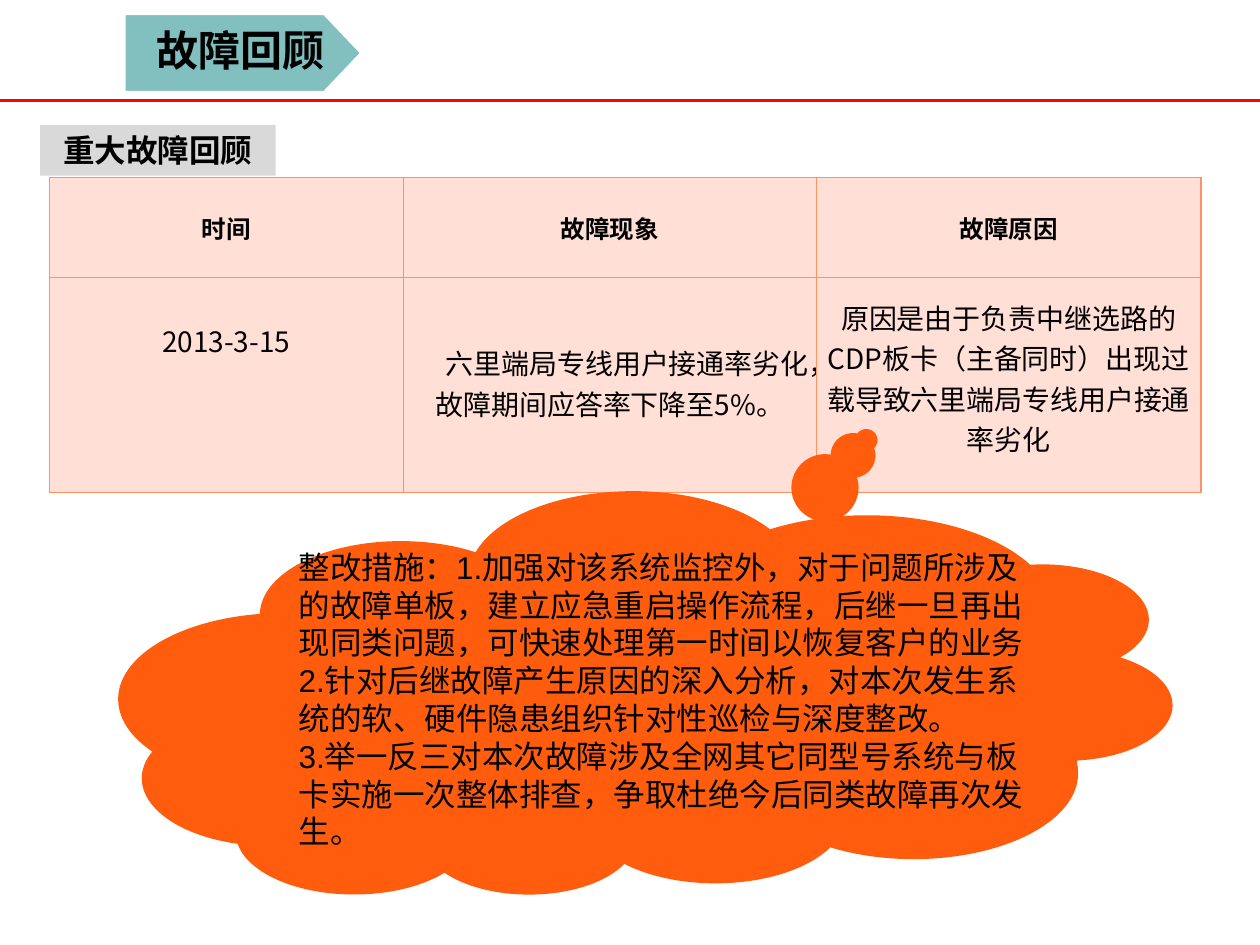
from lxml.etree import SubElement
from pptx import Presentation
from pptx.dml.color import RGBColor
from pptx.enum.shapes import MSO_CONNECTOR as Connector, MSO_SHAPE as Preset
from pptx.enum.text import MSO_ANCHOR as Anchor, PP_ALIGN as Align
from pptx.oxml.ns import qn
from pptx.util import Cm, Pt

CJK = "Noto Sans CJK SC"
HEADERS = ["时间", "故障现象", "故障原因"]
FAULT = [
    ("2013-3-15", 2.67, 0),
    ("六里端局专线用户接通率劣化，故障期间应答率下降至5%。", 1.4, 0.7),
    ("原因是由于负责中继选路的CDP板卡（主备同时）出现过载导致六里端局专线用户接通率劣化", 0.69, 0),
]
MEASURES = [
    "整改措施：1.加强对该系统监控外，对于问题所涉及的故障单板，建立应急重启操作流程，后继一旦再出现同类问题，可快速处理第一时间以恢复客户的业务",
    "2.针对后继故障产生原因的深入分析，对本次发生系统的软、硬件隐患组织针对性巡检与深度整改。",
    "3.举一反三对本次故障涉及全网其它同型号系统与板卡实施一次整体排查，争取杜绝今后同类故障再次发生。",
]


def color(value):
    return RGBColor.from_string(value)


def set_format(target, values):
    for name, value in values.items():
        setattr(target, name, value)


def write(frame, lines, size, bold=False, font=CJK, align=Align.CENTER, spacing=1.0):
    frame.word_wrap = True
    for index, line in enumerate(lines):
        para = frame.add_paragraph() if index else frame.paragraphs[0]
        set_format(para, {"alignment": align, "line_spacing": spacing})
        span = para.add_run()
        span.text = line
        set_format(span.font, {"name": font, "size": Pt(size), "bold": bold})
        span.font.color.rgb = color("000000")
        SubElement(span.font._element, qn("a:ea"), typeface=CJK)


def paint(shape, fill):
    shape.shadow.inherit = False
    shape.fill.solid()
    shape.fill.fore_color.rgb = color(fill)
    shape.line.fill.background()


def add_rule(page, top, width):
    rule = page.shapes.add_connector(Connector.STRAIGHT, 0, Cm(top), Cm(width), Cm(top))
    rule.line.color.rgb = color("FF0000")
    rule.line.width = Pt(2)
    SubElement(rule._element.spPr, qn("a:effectLst"))


def add_title(page, left, top, width, height):
    shoulder = left + width - 0.76
    builder = page.shapes.build_freeform(Cm(left), Cm(top))
    corners = [(shoulder, top), (left + width, top + height / 2),
               (shoulder, top + height), (left, top + height)]
    builder.add_line_segments([(Cm(x), Cm(y)) for x, y in corners], close=True)
    tag = builder.convert_to_shape()
    paint(tag, "008080")
    fill = tag.fill._xPr.find(qn("a:solidFill"))
    SubElement(fill[0], qn("a:alpha"), val="49000")
    tag.line.color.rgb = color("FFFFFF")
    tag.line.width = Pt(2)
    set_format(tag.text_frame, {
        "vertical_anchor": Anchor.MIDDLE, "margin_left": Cm(0.36), "margin_right": Cm(0.48),
        "margin_top": Cm(0.18), "margin_bottom": Cm(0.18)})
    write(tag.text_frame, ["故障回顾"], 24, bold=True, spacing=0.9)


def add_heading(page, left, top, width, height):
    box = page.shapes.add_shape(Preset.RECTANGLE, Cm(left), Cm(top), Cm(width), Cm(height))
    paint(box, "D9D9D9")
    box.text_frame.vertical_anchor = Anchor.MIDDLE
    write(box.text_frame, ["重大故障回顾"], 18, bold=True)


def style_cell(cell, anchor, bottom):
    set_format(cell, {
        "vertical_anchor": anchor, "margin_left": Cm(0.03), "margin_right": Cm(0.03),
        "margin_top": Cm(0.03), "margin_bottom": Cm(bottom)})
    properties = cell._tc.get_or_add_tcPr()
    for side in ("lnL", "lnR", "lnT", "lnB"):
        border = SubElement(properties, qn(f"a:{side}"), w=str(Pt(0.75)))
        SubElement(SubElement(border, qn("a:solidFill")), qn("a:srgbClr"), val="FD9460")
    cell.fill.solid()
    cell.fill.fore_color.rgb = color("FFDFD6")


def add_fault_table(page, left, top, widths, heights):
    frame = page.shapes.add_table(len(heights), len(widths), Cm(left), Cm(top),
                                  Cm(sum(widths)), Cm(sum(heights)))
    table = frame.table
    for row, height in zip(table.rows, heights):
        row.height = Cm(height)
    for index, (width, header, (text, bottom, indent)) in enumerate(zip(widths, HEADERS, FAULT)):
        table.columns[index].width = Cm(width)
        head, body = table.cell(0, index), table.cell(1, index)
        style_cell(head, Anchor.MIDDLE, 0)
        write(head.text_frame, [header], 14, bold=True)
        style_cell(body, Anchor.BOTTOM, bottom)
        write(body.text_frame, [text], 16)
        if indent:
            body.text_frame.paragraphs[0]._p.get_or_add_pPr().set("indent", str(Cm(indent)))


def add_measures(page, left, top, width, height):
    cloud = page.shapes.add_shape(Preset.CLOUD_CALLOUT, Cm(left), Cm(top), Cm(width), Cm(height))
    paint(cloud, "FF5D0D")
    cloud.rotation = 180
    cloud.adjustments[0] = -0.21
    cloud.adjustments[1] = 0.63
    box = page.shapes.add_textbox(Cm(left + 3.38), Cm(top + 0.99), Cm(15.47), Cm(6.4))
    write(box.text_frame, MEASURES, 18, font="Arial", align=Align.LEFT)


def main():
    deck = Presentation()
    set_format(deck, {"slide_width": Cm(25.4), "slide_height": Cm(19.05)})
    page = deck.slides.add_slide(deck.slide_layouts[6])
    add_rule(page, 2.03, 25.4)
    add_title(page, 2.5, 0.27, 4.8, 1.6)
    add_heading(page, 0.81, 2.52, 4.75, 1.02)
    add_fault_table(page, 0.99, 3.58, [7.14, 8.33, 7.75], [2.01, 4.34])
    add_measures(page, 2.39, 9.93, 21.23, 8.13)
    deck.save("out.pptx")


if __name__ == "__main__":
    main()
